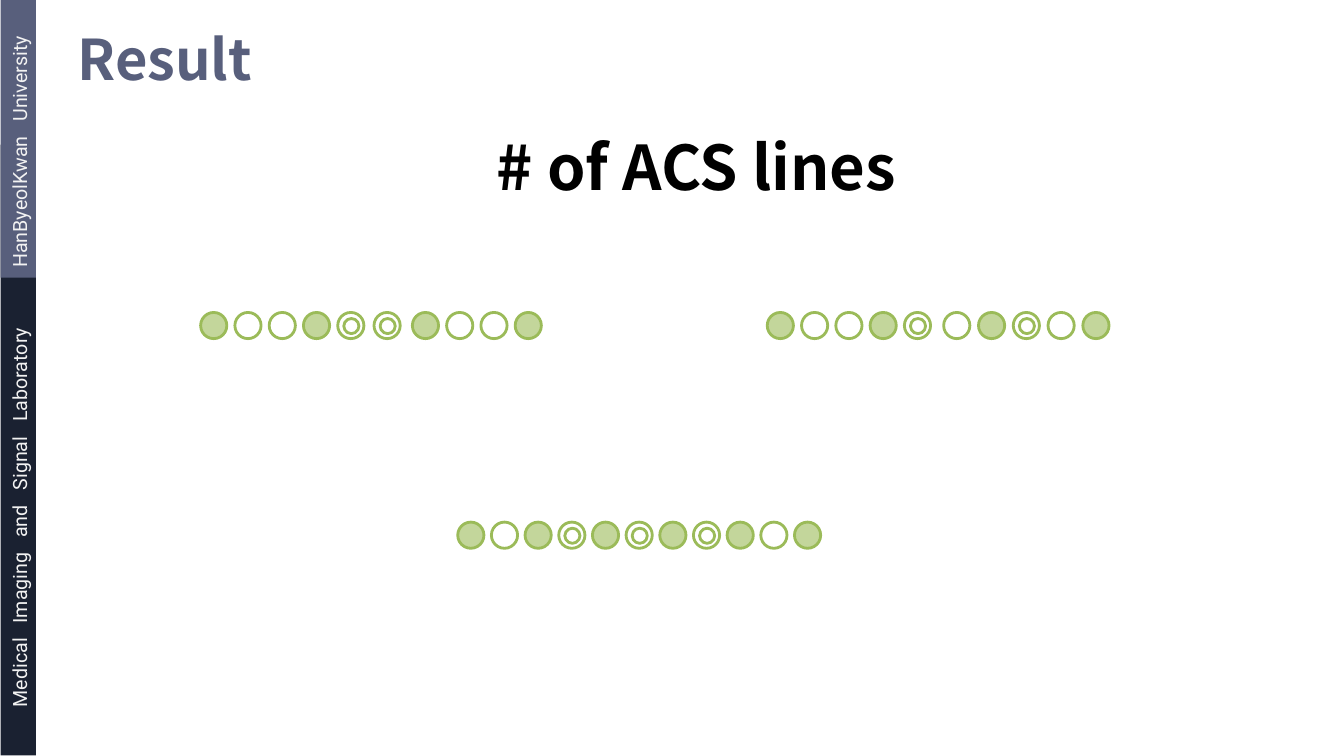
from pptx import Presentation
from pptx.dml.color import RGBColor
from pptx.enum.shapes import MSO_SHAPE as SHAPE
from pptx.enum.text import MSO_ANCHOR as ANCHOR, MSO_AUTO_SIZE as AUTO, PP_ALIGN as ALIGN
from pptx.util import Inches, Pt

COLORS = {"slate": "585F7C", "navy": "1A2131", "pale": "F2F2F2",
          "black": "000000", "green": "9BBB59", "light_green": "C3D69B"}


def add_text(p, text, size, color, font, bold=False, word_gap=0):
    """Write the words as runs, with word_gap points added to each space."""
    words = text.split(" ") if word_gap else [text]
    for i, word in enumerate(words):
        for part in ([" ", word] if i else [word]):
            r = p.add_run()
            r.text = part
            r.font.size, r.font.name, r.font.bold = Pt(size), font, bold
            r.font.color.rgb = RGBColor.from_string(COLORS[color])
            if part == " ":
                r.font._element.set("spc", str(word_gap * 100))


def add_circle(shapes, left, top, size, filled=False):
    sp = shapes.add_shape(SHAPE.OVAL, Inches(left), Inches(top), Inches(size), Inches(size))
    sp.shadow.inherit = False
    if filled:
        sp.fill.solid()
        sp.fill.fore_color.rgb = RGBColor.from_string(COLORS["light_green"])
    else:
        sp.fill.background()
    sp.line.color.rgb = RGBColor.from_string(COLORS["green"])
    sp.line.width = Pt(2)


prs = Presentation()
prs.slide_width, prs.slide_height = Inches(13.33), Inches(7.5)
s = prs.slides.add_slide(prs.slide_layouts[1])

# Side bar
for left, top, width, color in [(-2.85, 4.29, 6.06, "navy"), (-1.2, 1.2, 2.76, "slate")]:
    sp = s.shapes.add_shape(SHAPE.RECTANGLE, Inches(left), Inches(top), Inches(width), Inches(0.35))
    sp.rotation = 90
    sp.shadow.inherit = False
    sp.fill.solid()
    sp.fill.fore_color.rgb = RGBColor.from_string(COLORS[color])
    sp.line.fill.background()

# Side bar labels
for left, top, width, text in [(-2.23, 4.52, 4.85, "Medical Imaging and Signal Laboratory"),
                               (-1.11, 1.28, 2.61, "HanByeolKwan University")]:
    sp = s.shapes.add_textbox(Inches(left), Inches(top), Inches(width), Inches(0.34))
    sp.rotation = 270
    tf = sp.text_frame
    tf.word_wrap = True
    add_text(tf.paragraphs[0], text, 14, "pale", "Roboto", word_gap=7)

# Title and heading
title, body = s.shapes.title, s.placeholders[1]
for sp, box, anchor, align, text, size, color in [
        (title, (0.67, 0.28, 12.23, 0.6), ANCHOR.MIDDLE, ALIGN.LEFT, "Result", 40, "slate"),
        (body, (0.67, 1.23, 12.48, 6.12), ANCHOR.TOP, ALIGN.CENTER, "# of ACS lines", 44, "black")]:
    sp.left, sp.top, sp.width, sp.height = [Inches(v) for v in box]
    tf = sp.text_frame
    tf.auto_size, tf.vertical_anchor = AUTO.NONE, anchor
    p = tf.paragraphs[0]
    p.alignment, p.space_before = align, Pt(0)
    add_text(p, text, size, color, "Noto Sans CJK KR", bold=True)

# The heading has no bullet or hanging indent
pPr = body.text_frame.paragraphs[0]._p.get_or_add_pPr()
pPr.set("marL", "0")
pPr.set("indent", "0")
pPr.append(pPr.makeelement("{http://schemas.openxmlformats.org/drawingml/2006/main}buNone", {}))

# Sampling lines: F filled, O open, R ring
for left, top, pitch, pattern in [(1.99, 3.1, 0.34, "FOOFR"),
                                  (3.71, 3.1, 0.34, "R"),
                                  (4.09, 3.1, 0.34, "FOOF"),
                                  (7.61, 3.1, 0.34, "FOOFR"),
                                  (9.36, 3.1, 0.345, "OFROF"),
                                  (4.54, 5.18, 0.334, "FOFRFRFRFOF")]:
    for i, kind in enumerate(pattern):
        x = left + i * pitch
        if kind == "R":
            ring = s.shapes.add_group_shape().shapes
            add_circle(ring, x, top, 0.26)
            add_circle(ring, x + 0.06, top + 0.06, 0.15)
        else:
            add_circle(s.shapes, x, top, 0.26, filled=kind == "F")

prs.save("out.pptx")
